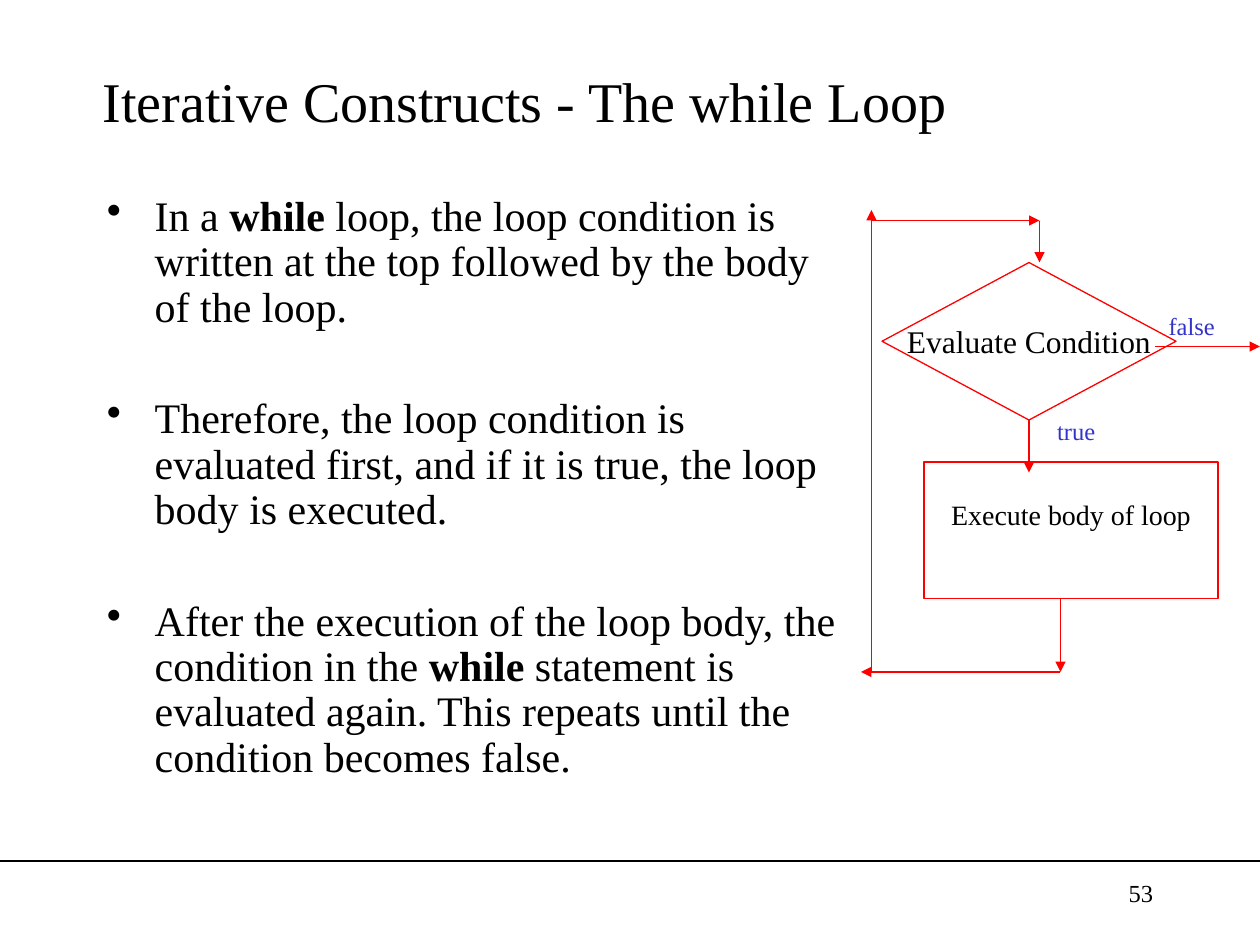
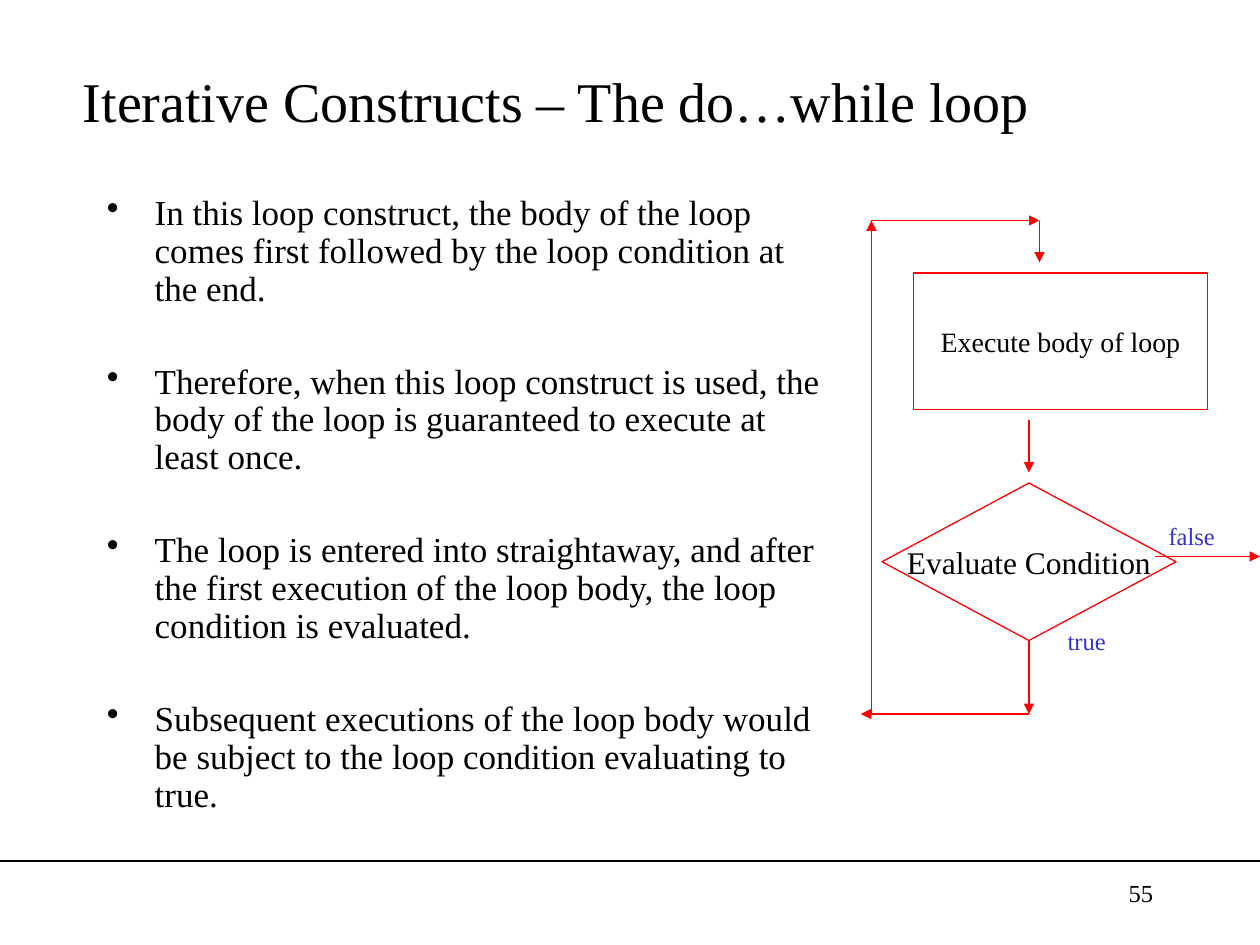
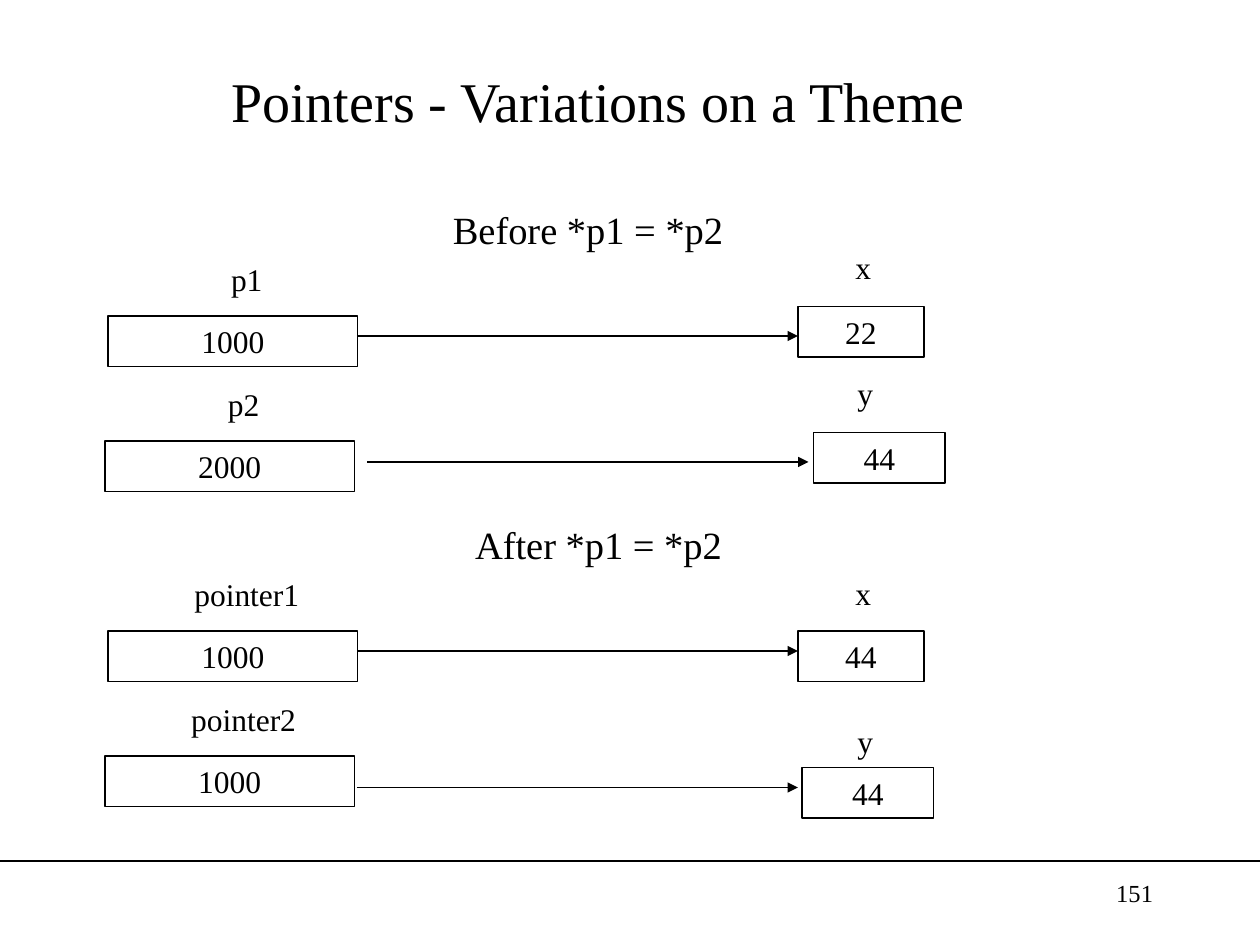
from dataclasses import dataclass

from lxml.etree import SubElement
from pptx import Presentation
from pptx.dml.color import RGBColor
from pptx.enum.shapes import MSO_CONNECTOR, MSO_SHAPE
from pptx.enum.text import MSO_ANCHOR, PP_ALIGN
from pptx.oxml.ns import qn
from pptx.util import Inches, Pt

COLUMNS, ROWS = 120, 90
CELL = Inches(10) / COLUMNS


@dataclass(frozen=True)
class Theme:
    """Colours, font and type sizes of the deck."""

    font: str = "Times New Roman"
    ink: RGBColor = RGBColor(0x00, 0x00, 0x00)
    flow: RGBColor = RGBColor(0xFF, 0x00, 0x00)
    branch: RGBColor = RGBColor(0x33, 0x33, 0xCC)
    line: float = 0.75
    title: int = 32
    heading: int = 22
    value: int = 18
    step: int = 16
    small: int = 14


@dataclass(frozen=True)
class Box:
    """A region measured in grid cells."""

    left: float
    top: float
    width: float
    height: float

    def inner(self, left, top, width, height):
        """Return a region placed relative to this one."""
        return Box(self.left + left, self.top + top, width, height)

    def point(self, column, row):
        """Return a grid point relative to this region."""
        return self.left + column, self.top + row

    def emu(self):
        """Return left, top, width and height as slide lengths."""
        return [cells(n) for n in (self.left, self.top, self.width, self.height)]


@dataclass(frozen=True)
class Loop:
    """Grid points that distinguish one loop flowchart from another."""

    body: tuple
    condition: tuple
    true: tuple
    false: tuple
    end: tuple
    bottom: float
    rise: float
    body_lift: float = 0.0


@dataclass(frozen=True)
class Pointer:
    """A pointer, its arrow and the variable on the right."""

    name: str
    address: str
    left: float
    top: float
    arrow: tuple
    variable: str
    value: str
    variable_at: tuple
    value_at: tuple
    value_width: float


THEME = Theme()
SLIDE = Box(0, 0, COLUMNS, ROWS)


def cells(count):
    """Convert grid cells to a slide length."""
    return round(count * CELL)


def write(shape, paragraphs, *, size, color=THEME.ink, align=PP_ALIGN.CENTER,
          anchor=MSO_ANCHOR.MIDDLE, wrap=True, bullet=False, lift=0.0):
    """Fill a shape with paragraphs whose ** marks enclose bold words."""
    frame = shape.text_frame
    frame.word_wrap = wrap
    frame.vertical_anchor = anchor
    frame.margin_bottom = Inches(0.05 + lift)
    for index, text in enumerate(paragraphs):
        paragraph = frame.add_paragraph() if index else frame.paragraphs[0]
        paragraph.alignment = align
        if bullet:
            properties = paragraph._p.get_or_add_pPr()
            properties.set("marL", str(Inches(0.38)))
            properties.set("indent", str(-Inches(0.38)))
            SubElement(properties, qn("a:buChar"), char="•")
            paragraph.line_spacing = 0.9
            if index:
                paragraph.space_before = Pt(round(size * 1.58, 1))
        for position, words in enumerate(text.split("**")):
            run = paragraph.add_run()
            run.text = words
            run.font.name = THEME.font
            run.font.size = Pt(size)
            run.font.bold = position % 2 == 1
            run.font.color.rgb = color


def label(slide, box, text, **style):
    """Add a one-paragraph text box."""
    write(slide.shapes.add_textbox(*box.emu()), [text], **style)


def outlined(slide, kind, box, text, *, line=THEME.ink, **style):
    """Add an unfilled shape with a coloured outline and text."""
    shape = slide.shapes.add_shape(kind, *box.emu())
    shape.shadow.inherit = False
    shape.fill.background()
    shape.line.color.rgb = line
    shape.line.width = Pt(THEME.line)
    write(shape, [text], **style)


def connect(slide, start, end, color=THEME.ink, arrow=True):
    """Draw a straight line, with an arrowhead at its end by default."""
    line = slide.shapes.add_connector(
        MSO_CONNECTOR.STRAIGHT, *[cells(n) for n in (*start, *end)])
    line.line.color.rgb = color
    line.line.width = Pt(THEME.line)
    if arrow:
        SubElement(line.line._get_or_add_ln(), qn("a:tailEnd"), type="triangle")
    SubElement(line._element.spPr, qn("a:effectLst"))


def framed_slide(deck, title, number, center):
    """Add a slide with its title, footer rule and page number."""
    slide = deck.slides.add_slide(deck.slide_layouts[6])
    connect(slide, SLIDE.point(0, 82), SLIDE.point(COLUMNS, 82), arrow=False)
    label(slide, SLIDE.inner(center - 50, 3, 100, 13), title, size=THEME.title)
    label(slide, SLIDE.inner(86, 83, 25, 6), number, size=THEME.small,
          align=PP_ALIGN.RIGHT, anchor=MSO_ANCHOR.TOP)
    return slide


def flowchart(slide, box, loop):
    """Draw the body, condition, branches and return path of a loop."""
    outlined(slide, MSO_SHAPE.RECTANGLE, box.inner(*loop.body, 28, 13),
             "Execute body of loop", line=THEME.flow, size=THEME.step,
             wrap=False, lift=loop.body_lift)
    outlined(slide, MSO_SHAPE.DIAMOND, box.inner(*loop.condition, 28, 15),
             "Evaluate Condition", line=THEME.flow, size=THEME.value, wrap=False)
    for answer, corner in (("true", loop.true), ("false", loop.false)):
        label(slide, box.inner(*corner, 11, 4), answer, size=THEME.small,
              color=THEME.branch, anchor=MSO_ANCHOR.TOP)
    exit_row = loop.false[1] + 4
    corner = (loop.end[0], loop.bottom)
    routes = [
        ((16, 20), (16, 25)),
        ((17, 1), (17, 5)),
        (loop.end, corner),
        (corner, (0, loop.bottom)),
        ((1, loop.bottom), (1, loop.rise)),
        ((1, 1), (17, 1)),
        ((28, exit_row), (box.width, exit_row)),
    ]
    for start, end in routes:
        connect(slide, box.point(*start), box.point(*end), THEME.flow)


def loop_slide(deck, title, number, center, points, size, width, loop):
    """Build a slide with bullet points beside a loop flowchart."""
    slide = framed_slide(deck, title, number, center)
    body = slide.shapes.add_textbox(*SLIDE.inner(9, 18, width, 62).emu())
    write(body, points, size=size, align=PP_ALIGN.LEFT,
          anchor=MSO_ANCHOR.TOP, bullet=True)
    flowchart(slide, SLIDE.inner(82, 20, 38, 48), loop)


def memory_panel(slide, box, heading, heading_left, pointers):
    """Draw a heading above pointers and the variables they lead to."""
    label(slide, box.inner(heading_left, 0, 64, 5.6), heading,
          size=THEME.heading, anchor=MSO_ANCHOR.TOP)
    for pointer in pointers:
        name = box.inner(pointer.left + 2.6, pointer.top - 5.9, 21.2, 4.8)
        address = box.inner(pointer.left, pointer.top, 23.75, 4.8)
        variable = box.inner(*pointer.variable_at, 8.8, 4.8)
        value = box.inner(*pointer.value_at, pointer.value_width, 4.8)
        label(slide, name, pointer.name, size=THEME.value)
        label(slide, variable, pointer.variable, size=THEME.value)
        outlined(slide, MSO_SHAPE.RECTANGLE, address, pointer.address, size=THEME.value)
        outlined(slide, MSO_SHAPE.RECTANGLE, value, pointer.value, size=THEME.value)
        column, row = pointer.arrow
        connect(slide, box.point(column, row), box.point(column + 42, row))


def pointer_slide(deck, title, number, center, panels):
    """Build a slide that stacks memory panels at an equal pitch."""
    slide = framed_slide(deck, title, number, center)
    for index, panel in enumerate(panels):
        memory_panel(slide, SLIDE.inner(0, 19 + 30 * index, COLUMNS, 30), *panel)


WHILE_POINTS = [
    "In a **while **loop, the loop condition is written at the top followed by "
    "the body of the loop.",
    "Therefore, the loop condition is evaluated first, and if it is true, the "
    "loop body is executed.",
    "After the execution of the loop body, the condition in the **while** "
    "statement is evaluated again. This repeats until the condition becomes false.",
]
DO_WHILE_POINTS = [
    "In this loop construct, the body of the loop comes first followed by the "
    "loop condition at the end.",
    "Therefore, when this loop construct is used, the body of the loop is "
    "guaranteed to execute at least once.",
    "The loop is entered into straightaway, and after the first execution of the "
    "loop body, the loop condition is evaluated.",
    "Subsequent executions of the loop body would be subject to the loop "
    "condition evaluating to true.",
]
WHILE_LOOP = Loop(body=(6, 24), condition=(2, 5), true=(15, 19), false=(26, 9),
                  end=(19, 37), bottom=44, rise=0, body_lift=0.25)
DO_WHILE_LOOP = Loop(body=(5, 6), condition=(2, 26), true=(16, 39), false=(26, 29),
                     end=(16, 41), bottom=48, rise=1)
MEMORY_PANELS = [
    ("Before *p1 = *p2", 24, [
        Pointer("p1", "1000", 10.3, 11.1, (34, 13), "x", "22", (77.8, 4), (76, 10.2), 12),
        Pointer("p2", "2000", 10, 23, (35, 25), "y", "44", (78, 16), (77.5, 22.2), 12.5),
    ]),
    ("After *p1 = *p2", 25, [
        Pointer("pointer1", "1000", 10.3, 11.1, (34, 13), "x", "44", (77.8, 5.1), (76, 11.1), 12),
        Pointer("pointer2", "1000", 10, 23, (34, 26), "y", "44", (78, 19.2), (76.4, 24.1), 12.5),
    ]),
]


def main():
    """Build and save the deck."""
    deck = Presentation()
    deck.slide_width = cells(COLUMNS)
    deck.slide_height = cells(ROWS)
    loop_slide(deck, "Iterative Constructs - The while Loop", "53", 50,
               WHILE_POINTS, 24, 72, WHILE_LOOP)
    loop_slide(deck, "Iterative Constructs – The do…while loop", "55", 53,
               DO_WHILE_POINTS, 20, 71, DO_WHILE_LOOP)
    pointer_slide(deck, "Pointers - Variations on a Theme", "151", 57, MEMORY_PANELS)
    deck.save("out.pptx")


if __name__ == "__main__":
    main()
